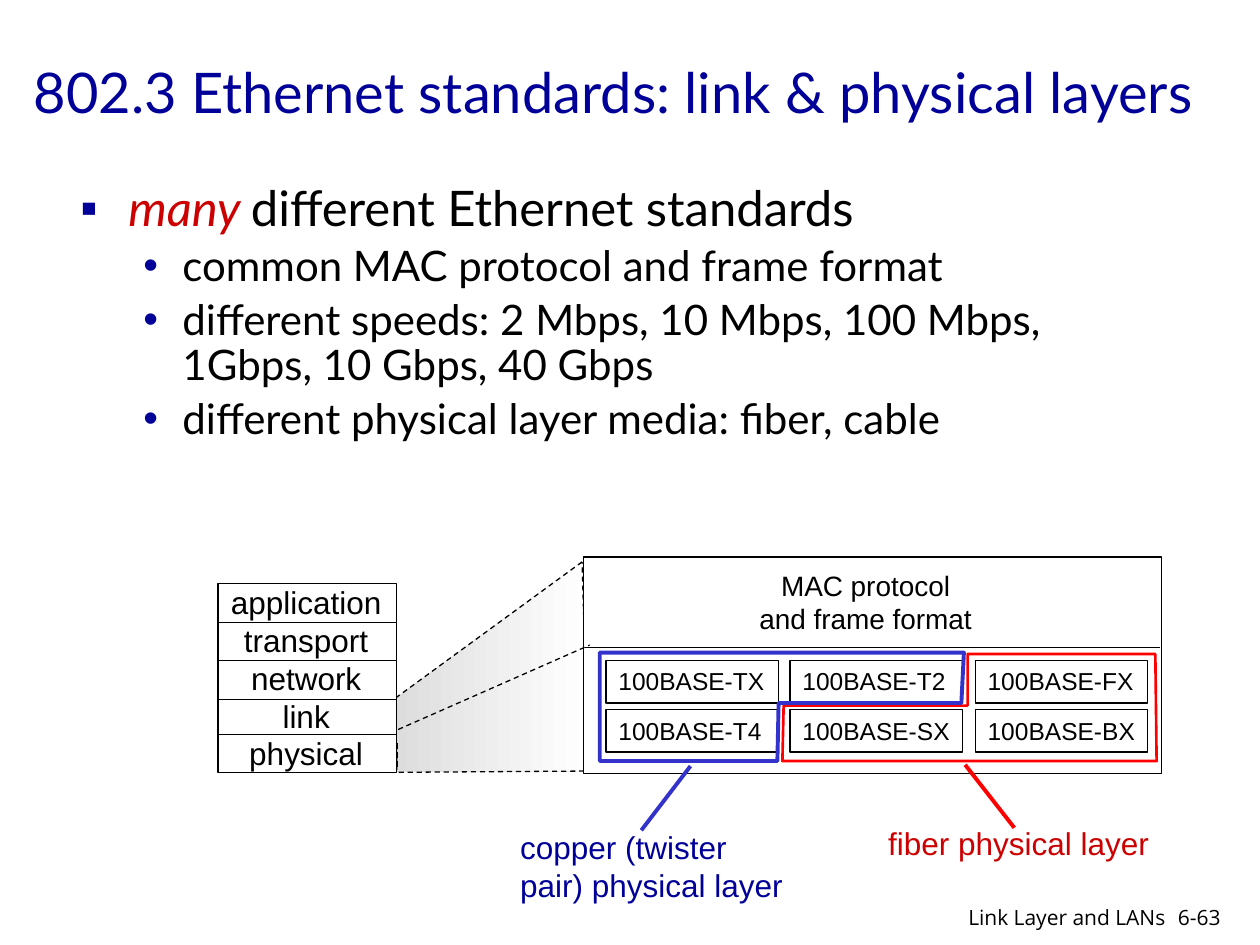
from lxml import etree
from pptx import Presentation
from pptx.dml.color import RGBColor
from pptx.enum.dml import MSO_LINE
from pptx.enum.shapes import MSO_CONNECTOR, MSO_SHAPE
from pptx.enum.text import MSO_ANCHOR, PP_ALIGN
from pptx.oxml.ns import qn
from pptx.util import Inches, Pt

DASH = MSO_LINE.DASH
RECT = MSO_SHAPE.RECTANGLE
STRAIGHT = MSO_CONNECTOR.STRAIGHT
TOP, MIDDLE = MSO_ANCHOR.TOP, MSO_ANCHOR.MIDDLE
LEFT, CENTER, RIGHT = PP_ALIGN.LEFT, PP_ALIGN.CENTER, PP_ALIGN.RIGHT
HEAD, BODY, FOOT = "Lato", "Arial", "Open Sans"
COLORS = {
    "black": "000000", "white": "FFFFFF", "gray": "DDDDDD", "navy": "000099",
    "blue": "3333CC", "red": "FF0000", "crimson": "CC0000",
}


def rgb(name):
    """Return a named colour."""
    return RGBColor.from_string(COLORS[name])


class Board:
    """Holds the current slide and draws elements in its style."""

    def __init__(self, slide):
        """Keep the slide to draw on."""
        self.slide = slide
        self.shapes = slide.shapes

    def stroke(self, line, color="black", width=0.75, dash=None):
        """Style an outline."""
        line.color.rgb = rgb(color)
        line.width = Pt(width)
        if dash:
            line.dash_style = dash

    def run(self, para, text, size, color="black", font=BODY, italic=False):
        """Add one run to a paragraph."""
        run = para.add_run()
        run.text = text
        run.font.size = Pt(size)
        run.font.name = font
        run.font.italic = italic
        run.font.color.rgb = rgb(color)

    def fill_text(self, frame, lines, size, color="black", font=BODY,
                  align=LEFT, anchor=TOP, wrap=False):
        """Fill a text frame, one paragraph a line."""
        frame.word_wrap = wrap
        frame.vertical_anchor = anchor
        for i, text in enumerate(lines):
            para = frame.add_paragraph() if i else frame.paragraphs[0]
            para.alignment = align
            self.run(para, text, size, color, font)

    def text(self, at, lines, size, **style):
        """Add a text box."""
        box = self.shapes.add_textbox(*map(Inches, at))
        self.fill_text(box.text_frame, lines, size, **style)

    def rect(self, at, fill=None, label=None):
        """Add a thin black rectangle, with or without a label."""
        box = self.shapes.add_shape(RECT, *map(Inches, at))
        box.shadow.inherit = False
        if fill:
            box.fill.solid()
            box.fill.fore_color.rgb = rgb(fill)
        else:
            box.fill.background()
        self.stroke(box.line)
        if label:
            self.fill_text(box.text_frame, [label], 14)

    def line(self, start, end, *style):
        """Add a straight line."""
        link = self.shapes.add_connector(STRAIGHT, *map(Inches, start + end))
        self.stroke(link.line, *style)
        etree.SubElement(link._element.spPr, qn("a:effectLst"))

    def outline(self, points, *style, fade=False):
        """Add a closed polygon, unfilled or fading from gray to white."""
        first, *rest = [tuple(map(Inches, p)) for p in points]
        pen = self.shapes.build_freeform(*first)
        pen.add_line_segments(rest, close=True)
        form = pen.convert_to_shape()
        form.shadow.inherit = False
        if fade:
            form.fill.gradient()
            form.fill.gradient_angle = 0
            for stop, name in zip(form.fill.gradient_stops, ("gray", "white")):
                stop.color.rgb = rgb(name)
        else:
            form.fill.background()
        self.stroke(form.line, *style)

    def bullets(self, at, items):
        """Add a list; an item is its level and its runs."""
        frame = self.shapes.add_textbox(*map(Inches, at)).text_frame
        frame.word_wrap = True
        looks = [(0.38, -0.38, "▪", 28), (0.81, -0.31, "•", 24)]
        for i, (level, runs) in enumerate(items):
            left, hang, mark, size = looks[level]
            para = frame.add_paragraph() if i else frame.paragraphs[0]
            para.level = level
            para.line_spacing = 0.9
            para.space_before = Pt(size * 0.2)
            props = para._p.get_or_add_pPr()
            props.set("marL", str(Inches(left)))
            props.set("indent", str(Inches(hang)))
            tint = etree.SubElement(props, qn("a:buClr"))
            etree.SubElement(tint, qn("a:srgbClr"), val=COLORS["navy"])
            etree.SubElement(props, qn("a:buFont"), typeface=BODY)
            etree.SubElement(props, qn("a:buChar"), char=mark)
            for text, color, italic in runs:
                self.run(para, text, size, color, HEAD, italic)


def draw_stack(board):
    """Draw the protocol stack and its fan towards the detail box."""
    board.outline([(4.62, 4.46), (3.14, 5.54), (3.15, 6.13), (4.67, 6.12)],
                  "black", 0.75, DASH, fade=True)
    board.rect((1.73, 4.63, 1.42, 1.5), "white")
    layers = ["application", "transport", "network", "link", "physical"]
    board.text((1.73, 4.58, 1.4, 1.6), layers, 18, align=CENTER)
    for y in (4.94, 5.24, 5.55, 5.83):
        board.line((1.73, y), (3.15, y))
    for x in (1.73, 3.15):
        board.line((x, 5.9), (x, 6.09), "black", 0.75, DASH)


def draw_detail(board):
    """Draw the box of MAC and physical layer standards."""
    board.rect((4.63, 4.42, 4.59, 1.72), "white")
    board.line((4.64, 5.14), (9.21, 5.14))
    board.text((5.92, 4.46, 1.9, 0.64), ["MAC protocol", "and frame format"],
               16, align=CENTER)
    board.line((3.16, 5.79), (4.68, 5.12), "black", 0.75, DASH)
    grid = [("TX", "T2", "FX"), ("T4", "SX", "BX")]
    for row, names in enumerate(grid):
        for col, name in enumerate(names):
            at = ((4.81, 6.27, 7.74)[col], 5.24 + 0.39 * row, 1.37, 0.34)
            board.rect(at, label="100BASE-" + name)


def draw_media(board):
    """Outline and name the fiber and copper groups."""
    board.outline([(7.68, 5.19), (7.68, 5.6), (6.22, 5.6), (6.21, 6.04),
                   (9.18, 6.04), (9.17, 5.19)], "red", 1.5)
    board.line((7.66, 6.07), (8.05, 6.57), "red", 2.25)
    board.text((6.95, 6.49, 2.29, 0.4), ["fiber physical layer"], 18,
               color="crimson")
    board.outline([(7.65, 5.18), (7.63, 5.58), (6.18, 5.58), (6.17, 6.04),
                   (4.76, 6.04), (4.76, 5.18)], "blue", 2.25)
    board.line((5.48, 6.08), (5.09, 6.59), "blue", 2.25)
    board.text((4.03, 6.52, 2.31, 0.71),
               ["copper (twister", "pair) physical layer"], 18, color="navy")


def main():
    """Build and save the slide."""
    deck = Presentation()
    deck.slide_width, deck.slide_height = Inches(10), Inches(7.5)
    board = Board(deck.slides.add_slide(deck.slide_layouts[6]))
    board.text((0.17, 0.1, 9.53, 1.25),
               ["802.3 Ethernet standards: link & physical layers"], 32,
               color="navy", font=HEAD, anchor=MIDDLE, wrap=True)
    points = [
        "common MAC protocol and frame format",
        "different speeds: 2 Mbps, 10 Mbps, 100 Mbps, "
        "1Gbps, 10 Gbps, 40 Gbps",
        "different physical layer media: fiber, cable",
    ]
    lead = [("many ", "crimson", True),
            ("different Ethernet standards", "black", False)]
    board.bullets((0.54, 1.41, 8.5, 2.3),
                  [(0, lead)] + [(1, [(p, "black", False)]) for p in points])
    draw_stack(board)
    draw_detail(board)
    draw_media(board)
    board.text((9.25, 7.13, 0.6, 0.3), ["6-63"], 12, font=FOOT, wrap=True)
    board.text((6.97, 7.13, 2.38, 0.26), ["Link Layer and LANs"], 12,
               font=FOOT, align=RIGHT, wrap=True)
    deck.save("out.pptx")


main()
